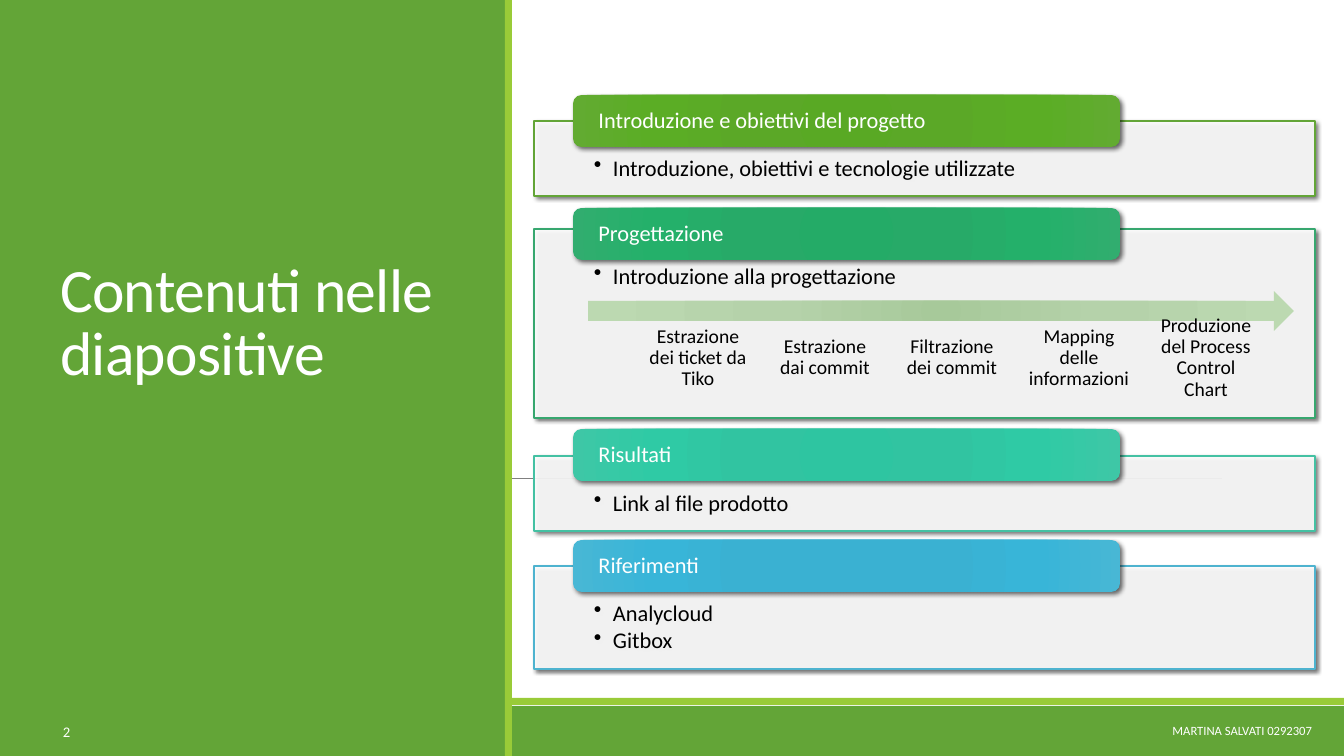
from lxml.etree import SubElement
from pptx import Presentation
from pptx.dml.color import RGBColor
from pptx.enum.shapes import MSO_CONNECTOR, MSO_SHAPE
from pptx.enum.text import MSO_ANCHOR, MSO_AUTO_SIZE, PP_ALIGN
from pptx.oxml.ns import qn
from pptx.util import Emu, Pt

WHITE = RGBColor(0xFF, 0xFF, 0xFF)
BLACK = RGBColor(0x00, 0x00, 0x00)
GRAY = RGBColor(0x80, 0x80, 0x80)
GREEN = RGBColor(0x63, 0xA5, 0x37)
LIME = RGBColor(0x99, 0xCB, 0x38)
EMERALD = RGBColor(0x37, 0xA7, 0x6F)
TEAL = RGBColor(0x44, 0xC1, 0xA3)
BLUE = RGBColor(0x4E, 0xB3, 0xCF)
GREEN_STOPS = [(0, RGBColor(0x59, 0xA9, 0x24)), (34, RGBColor(0x5B, 0xA8, 0x27)),
               (70, RGBColor(0x5B, 0xAD, 0x25)), (100, RGBColor(0x62, 0xAB, 0x31))]
EMERALD_STOPS = [(0, RGBColor(0x24, 0xAB, 0x67)), (34, RGBColor(0x27, 0xAA, 0x68)),
                 (70, RGBColor(0x24, 0xB0, 0x6A)), (100, RGBColor(0x31, 0xAD, 0x6F))]
TEAL_STOPS = [(0, RGBColor(0x2E, 0xC5, 0xA1)), (34, RGBColor(0x31, 0xC4, 0xA1)),
              (70, RGBColor(0x2F, 0xCA, 0xA5)), (100, RGBColor(0x3E, 0xC7, 0xA6))]
BLUE_STOPS = [(0, RGBColor(0x37, 0xB1, 0xD3)), (34, RGBColor(0x3A, 0xB1, 0xD2)),
              (70, RGBColor(0x38, 0xB5, 0xD8)), (100, RGBColor(0x48, 0xB7, 0xD5))]
ARROW_STOPS = [(0, RGBColor(0xA7, 0xC9, 0x9A)), (45, RGBColor(0xB5, 0xD2, 0xAA)),
               (100, RGBColor(0xBC, 0xD9, 0xB1))]

SECTIONS = [
    (95, 121, 75, GREEN, GREEN_STOPS, "Introduzione e obiettivi del progetto",
     "Introduzione, obiettivi e tecnologie utilizzate"),
    (208, 229, 189, EMERALD, EMERALD_STOPS, "Progettazione",
     "Introduzione alla progettazione"),
    (429, 456, 75, TEAL, TEAL_STOPS, "Risultati", "Link al file prodotto"),
    (540, 566, 103, BLUE, BLUE_STOPS, "Riferimenti", "Analycloud\nGitbox"),
]
STEPS = ["Estrazione dei ticket da Tiko", "Estrazione dai commit",
         "Filtrazione dei commit", "Mapping delle informazioni",
         "Produzione del Process Control Chart"]


def px(n):
    return Emu(round(n * 914400 / 100.8))


class Deck:
    font = "Calibri"

    def __init__(self):
        self.prs = Presentation()
        self.prs.slide_width, self.prs.slide_height = px(1344), px(756)
        self.s = self.prs.slides.add_slide(self.prs.slide_layouts[5])

    def set_text(self, sp, text, size, color, align=PP_ALIGN.LEFT, anchor=MSO_ANCHOR.MIDDLE,
                 inset=(10, 5, 10, 5), spacing=1.0, after=0):
        tf = sp.text_frame
        tf.text = text
        tf.word_wrap = True
        tf.auto_size = MSO_AUTO_SIZE.NONE
        tf.vertical_anchor = anchor
        tf.margin_left, tf.margin_top, tf.margin_right, tf.margin_bottom = map(px, inset)
        for p in tf.paragraphs:
            p.alignment = align
            p.line_spacing = spacing
            p.space_after = Pt(after)
            for r in p.runs:
                r.font.name, r.font.size = self.font, Pt(size)
                r.font.color.rgb = color

    def title(self, text, x, y, w, h):
        sp = self.s.shapes.title
        sp.left, sp.top, sp.width, sp.height = map(px, (x, y, w, h))
        self.set_text(sp, text, 44, WHITE, anchor=MSO_ANCHOR.BOTTOM, spacing=0.85)
        sp.text_frame.paragraphs[0].runs[0].font._element.set("spc", "-50")
        tree = sp._element.getparent()
        tree.remove(sp._element)
        tree.append(sp._element)

    def label(self, text, x, y, w, h, size, color, **style):
        sp = self.s.shapes.add_textbox(*map(px, (x, y, w, h)))
        self.set_text(sp, text, size, color, **style)

    def shape(self, kind, x, y, w, h):
        sp = self.s.shapes.add_shape(kind, *map(px, (x, y, w, h)))
        sp.shadow.inherit = False
        sp.line.fill.background()
        return sp

    def bar(self, x, y, w, h, color):
        sp = self.shape(MSO_SHAPE.RECTANGLE, x, y, w, h)
        sp.fill.solid()
        sp.fill.fore_color.rgb = color
        return sp

    def line(self, x1, y1, x2, y2, color, width):
        cn = self.s.shapes.add_connector(MSO_CONNECTOR.STRAIGHT, *map(px, (x1, y1, x2, y2)))
        cn.line.color.rgb, cn.line.width = color, Pt(width)
        SubElement(cn._element.spPr, qn("a:effectLst"))

    def gradient(self, sp, stops):
        sp.fill.gradient()
        grad = sp._element.spPr.find(qn("a:gradFill"))
        grad.clear()
        grad.set("rotWithShape", "1")
        stop_list = SubElement(grad, qn("a:gsLst"))
        for pos, color in stops:
            gs = SubElement(stop_list, qn("a:gs"), pos=str(pos * 1000))
            SubElement(gs, qn("a:srgbClr"), val=str(color))
        circle = SubElement(grad, qn("a:path"), {"path": "circle"})
        SubElement(circle, qn("a:fillToRect"), dict.fromkeys("ltrb", "100000"))

    def shadow(self, sp, blur):
        effects = sp._element.spPr.find(qn("a:effectLst"))
        outer = SubElement(effects, qn("a:outerShdw"), blurRad=str(Pt(blur)), dist=str(Pt(2)),
                           dir="2700000", algn="tl", rotWithShape="0")
        color = SubElement(outer, qn("a:srgbClr"), val=str(BLACK))
        SubElement(color, qn("a:alpha"), val="60000")

    def panel(self, text, x, y, w, h, color):
        sp = self.bar(x, y, w, h, WHITE)
        fill = sp._element.spPr.find(qn("a:solidFill"))
        SubElement(fill[0], qn("a:alpha"), val="90000")
        sp.line.color.rgb, sp.line.width = color, Pt(1)
        self.shadow(sp, 3)
        self.set_text(sp, text, 16, BLACK, anchor=MSO_ANCHOR.TOP,
                      inset=(60, 36, 60, 12), spacing=0.9, after=2.4)
        for p in sp.text_frame.paragraphs:
            ppr = p._p.get_or_add_pPr()
            ppr.set("marL", str(px(19)))
            ppr.set("indent", str(-px(19)))
            SubElement(ppr, qn("a:buChar"), char="•")

    def heading(self, text, x, y, w, h, stops):
        sp = self.shape(MSO_SHAPE.ROUNDED_RECTANGLE, x, y, w, h)
        self.gradient(sp, stops)
        self.shadow(sp, 3.5)
        self.set_text(sp, text, 16, WHITE, inset=(23, 0, 23, 0), spacing=0.9)

    def arrow(self, x, y, w, h, stops):
        self.gradient(self.shape(MSO_SHAPE.RIGHT_ARROW, x, y, w, h), stops)


def main():
    d = Deck()
    d.bar(0, 706, 1344, 50, GREEN)
    d.bar(0, 698, 1344, 7, LIME)
    d.line(133, 478, 1222, 478, GRAY, 0.5)
    d.bar(0, 0, 505, 756, GREEN)
    d.title("Contenuti nelle diapositive", 50, 71, 403, 322)
    d.label("2", 53, 712, 80, 40, 10.5, WHITE, after=6)
    d.bar(505, 0, 7, 756, LIME)
    d.label("MARTINA SALVATI 0292307", 534, 710, 788, 40, 9, WHITE,
            align=PP_ALIGN.RIGHT, after=6)
    for head_y, y, h, color, stops, heading, body in SECTIONS:
        d.panel(body, 534, y, 781, h, color)
        d.heading(heading, 573, head_y, 547, 52, stops)
    d.arrow(588, 291, 706, 40, ARROW_STOPS)
    for i, step in enumerate(STEPS):
        d.label(step, 645 + 127 * i, 325, 106, 66, 14, BLACK, align=PP_ALIGN.CENTER,
                inset=(0, 16, 0, 16), spacing=0.9)
    d.prs.save("out.pptx")


if __name__ == "__main__":
    main()
